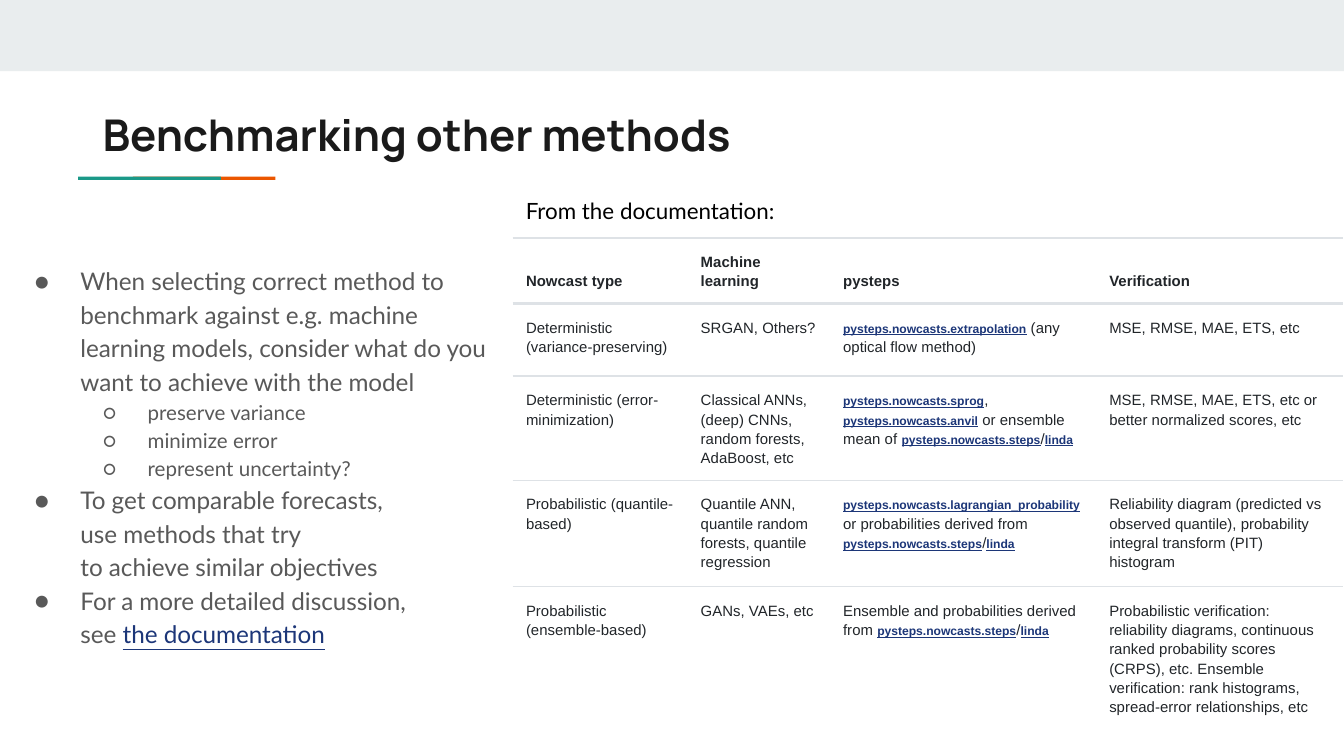
from lxml import etree
from pptx import Presentation
from pptx.dml.color import RGBColor
from pptx.enum.shapes import MSO_SHAPE
from pptx.enum.text import MSO_ANCHOR, MSO_AUTO_SIZE, PP_ALIGN
from pptx.oxml.ns import qn
from pptx.util import Pt

RECT = MSO_SHAPE.RECTANGLE
TOP, MIDDLE, BOTTOM = MSO_ANCHOR.TOP, MSO_ANCHOR.MIDDLE, MSO_ANCHOR.BOTTOM
NO_FIT = MSO_AUTO_SIZE.NONE
LEFT = PP_ALIGN.LEFT

COLORS = {
    "band": "E9EDEE", "orange": "EB5600", "teal": "1A9988", "title": "1A1A1A",
    "body": "595959", "link": "1C3678", "cell": "212529", "rule": "DEE2E6",
    "white": "FFFFFF", "black": "000000",
}

BULLETS = [
    (0, "When selecting correct method to benchmark against e.g. machine "
        "learning models, consider what do you want to achieve with the model"),
    (1, "preserve variance"),
    (1, "minimize error"),
    (1, "represent uncertainty?"),
    (0, "To get comparable forecasts, \nuse methods that try \nto achieve similar objectives"),
    (0, "For a more detailed discussion, \nsee |the documentation|"),
]

STEPS_LINDA = "|pysteps.nowcasts.steps|/|linda|"
ROWS = [
    ["Nowcast type", "Machine learning", "pysteps", "Verification"],
    ["Deterministic (variance-preserving)", "SRGAN, Others?",
     "|pysteps.nowcasts.extrapolation| (any optical flow method)",
     "MSE, RMSE, MAE, ETS, etc"],
    ["Deterministic (error-minimization)",
     "Classical ANNs, (deep) CNNs, random forests, AdaBoost, etc",
     "|pysteps.nowcasts.sprog|, |pysteps.nowcasts.anvil| or ensemble mean of " + STEPS_LINDA,
     "MSE, RMSE, MAE, ETS, etc or better normalized scores, etc"],
    ["Probabilistic (quantile-based)",
     "Quantile ANN, quantile random forests, quantile regression",
     "|pysteps.nowcasts.lagrangian_probability| or probabilities derived from " + STEPS_LINDA,
     "Reliability diagram (predicted vs observed quantile), probability "
     "integral transform (PIT) histogram"],
    ["Probabilistic (ensemble-based)", "GANs, VAEs, etc",
     "Ensemble and probabilities derived from " + STEPS_LINDA,
     "Probabilistic verification: reliability diagrams, continuous ranked "
     "probability scores (CRPS), etc. Ensemble verification: rank histograms, "
     "spread-error relationships, etc"],
]
COL_WIDTHS = [93.6, 76.3, 142.6, 132.5]
ROW_HEIGHTS = [23, 38.9, 52.6, 56.9, 72.7]
RULES = [0.83, 1.5, 0.83, 0.83, 0.83, 0]


def rgb(name):
    return RGBColor.from_string(COLORS[name])


class Deck:
    """Holds the text style and the current slide, and draws each kind of element."""

    inset = 7.2
    spacing = 1.15

    def __init__(self, slide):
        self.s = slide

    def frame(self, tf, anchor=TOP):
        tf.word_wrap = True
        tf.auto_size = NO_FIT
        tf.vertical_anchor = anchor
        tf.margin_left = tf.margin_right = Pt(self.inset)
        tf.margin_top = tf.margin_bottom = Pt(self.inset)
        return tf

    def run(self, p, text, font, size, color, bold=False, underline=False):
        r = p.add_run()
        r.text = text
        r.font.name, r.font.size = font, Pt(size)
        r.font.bold, r.font.underline = bold, underline
        r.font.color.rgb = rgb(color)

    def runs(self, p, text, font, size, color, bold=False, link_size=None, link_bold=False):
        for i, part in enumerate(text.split("|")):
            for j, line in enumerate(part.split("\n")):
                if j:
                    p.add_line_break()
                if line and i % 2:
                    self.run(p, line, font, link_size or size, "link", link_bold, True)
                elif line:
                    self.run(p, line, font, size, color, bold)

    def rect(self, x, y, w, h, color):
        sp = self.s.shapes.add_shape(RECT, Pt(x), Pt(y), Pt(w), Pt(h))
        sp.shadow.inherit = False
        sp.fill.solid()
        sp.fill.fore_color.rgb = rgb(color)
        sp.line.fill.background()

    def title(self, x, y, w, h, text):
        sp = self.s.shapes.title
        sp.left, sp.top, sp.width, sp.height = Pt(x), Pt(y), Pt(w), Pt(h)
        p = self.frame(sp.text_frame, MIDDLE).paragraphs[0]
        p.alignment = LEFT
        self.run(p, text, "Manrope", 23.4, "title", True)

    def textbox(self, x, y, w, h):
        sp = self.s.shapes.add_textbox(Pt(x), Pt(y), Pt(w), Pt(h))
        return self.frame(sp.text_frame)

    def label(self, x, y, w, h, text):
        p = self.textbox(x, y, w, h).paragraphs[0]
        self.run(p, text, "Lato", 12, "black")

    def bullets(self, x, y, w, h, items):
        tf = self.textbox(x, y, w, h)
        for i, (level, text) in enumerate(items):
            p = tf.add_paragraph() if i else tf.paragraphs[0]
            pPr = p._p.get_or_add_pPr()
            pPr.set("marL", str(Pt(36 * (level + 1))))
            pPr.set("indent", str(Pt(-24 if level else -24.5)))
            clr = etree.SubElement(pPr, qn("a:buClr"))
            etree.SubElement(clr, qn("a:srgbClr"), val=COLORS["body"])
            etree.SubElement(pPr, qn("a:buFont"), typeface="Lato")
            etree.SubElement(pPr, qn("a:buChar"), char="○" if level else "●")
            p.level = level
            p.line_spacing = self.spacing
            self.runs(p, text, "Lato", 11 if level else 13, "body")

    def border(self, cell, side, width):
        ln = etree.SubElement(cell._tc.get_or_add_tcPr(), qn("a:ln" + side), w=str(Pt(width)))
        if width:
            fill = etree.SubElement(ln, qn("a:solidFill"))
            etree.SubElement(fill, qn("a:srgbClr"), val=COLORS["rule"])
        else:
            etree.SubElement(ln, qn("a:noFill"))

    def cell(self, cell, text, header, above, below):
        for side, width in (("L", 0), ("R", 0), ("T", above), ("B", below)):
            self.border(cell, side, width)
        cell.fill.solid()
        cell.fill.fore_color.rgb = rgb("white")
        cell.margin_left = cell.margin_right = Pt(self.inset)
        cell.margin_top = cell.margin_bottom = Pt(self.inset)
        cell.vertical_anchor = BOTTOM if header else TOP
        p = cell.text_frame.paragraphs[0]
        p.line_spacing = self.spacing
        self.runs(p, text, "Arial", 8, "cell", header, 6.5, True)

    def table(self, x, y, rows, widths, heights, rules):
        tbl = self.s.shapes.add_table(len(rows), len(widths), Pt(x), Pt(y),
                                      Pt(sum(widths)), Pt(sum(heights))).table
        tbl.horz_banding = tbl.first_row = False
        for col, w in zip(tbl.columns, widths):
            col.width = Pt(w)
        for i, texts in enumerate(rows):
            tbl.rows[i].height = Pt(heights[i])
            for j, text in enumerate(texts):
                self.cell(tbl.cell(i, j), text, i == 0, rules[i], rules[i + 1])


def main():
    prs = Presentation()
    prs.slide_width, prs.slide_height = Pt(720), Pt(405)
    d = Deck(prs.slides.add_slide(prs.slide_layouts[5]))
    d.rect(0, 0, 720, 38.2, "band")
    d.rect(71.2, 94.7, 76.3, 1.7, "orange")
    d.rect(41.8, 94.7, 76.5, 1.7, "teal")
    d.title(47.8, 50.4, 609.8, 42.5, "Benchmarking other methods")
    d.bullets(0, 133.2, 274.3, 255.6, BULLETS)
    d.table(274.6, 127.5, ROWS, COL_WIDTHS, ROW_HEIGHTS, RULES)
    d.label(274.6, 98.6, 188.6, 28.8, "From the documentation:")
    prs.save("out.pptx")


if __name__ == "__main__":
    main()
